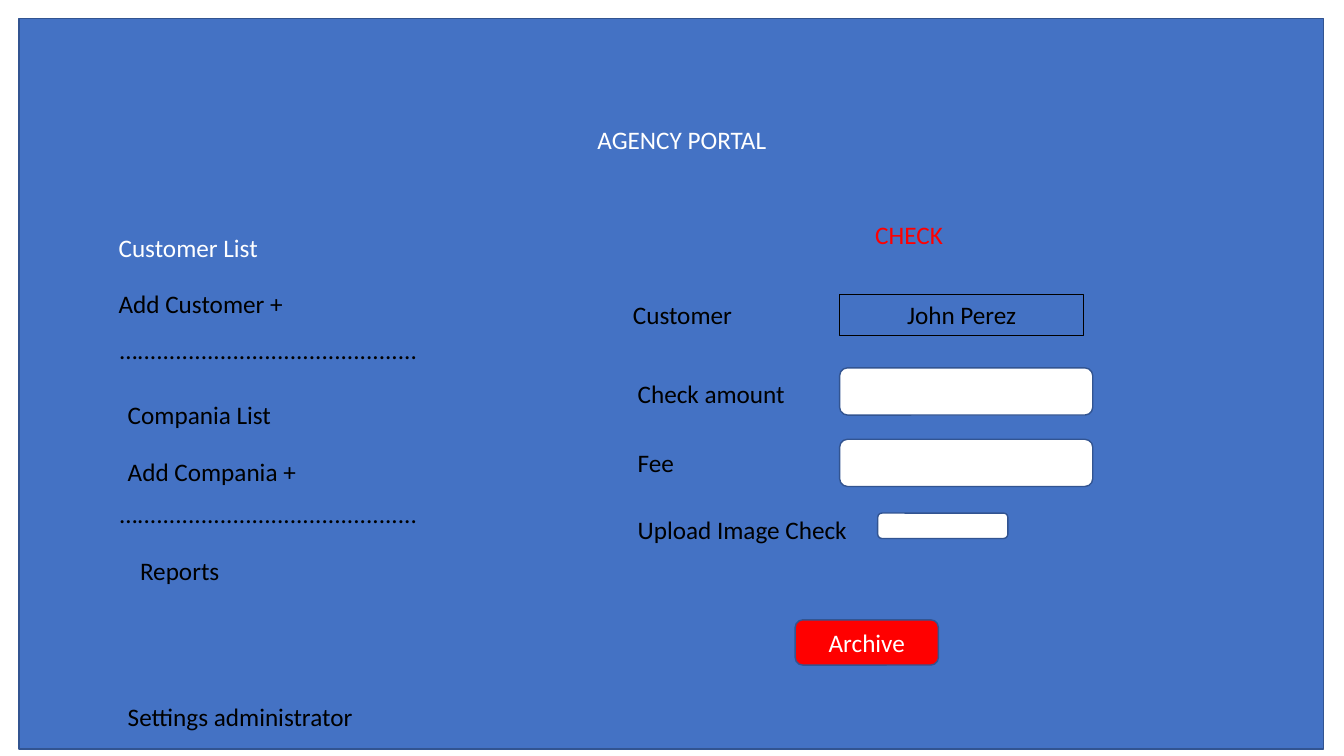
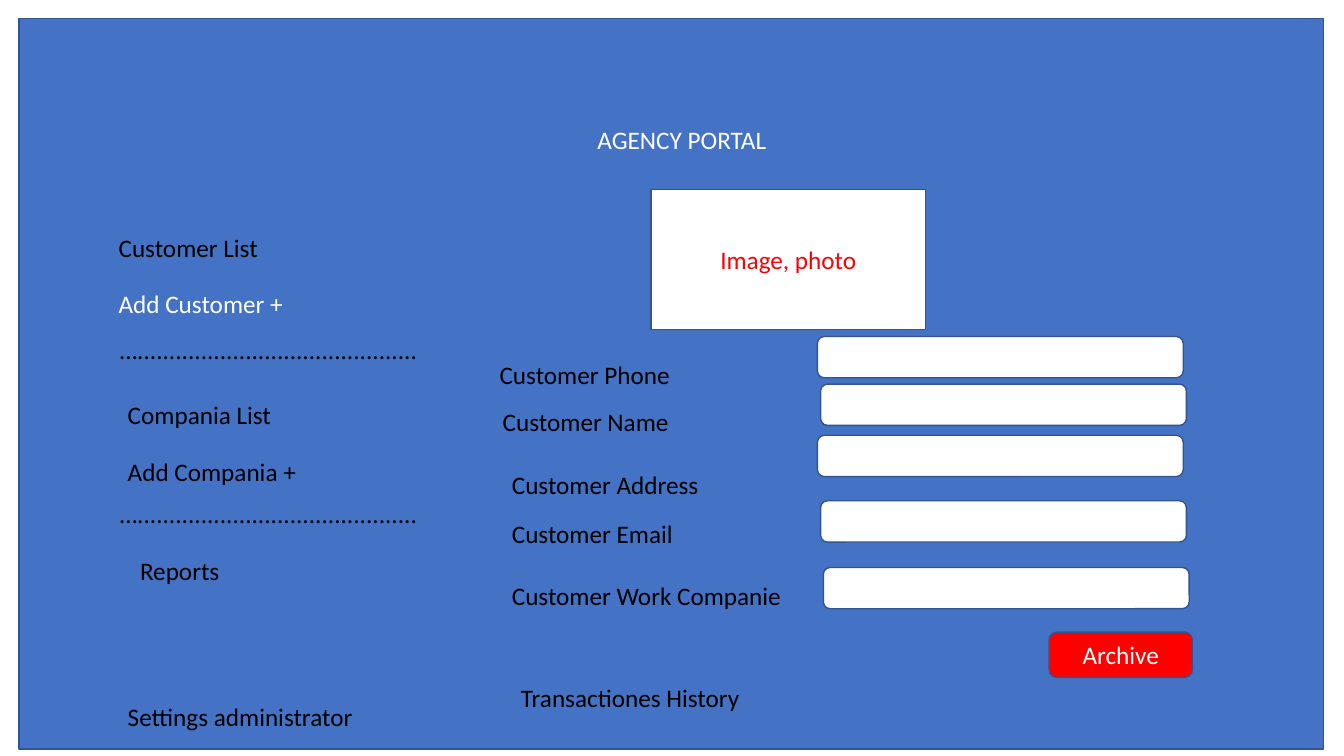
from dataclasses import dataclass
from typing import Optional

import pptx
import pptx.dml.color
import pptx.enum.shapes
import pptx.enum.text
import pptx.presentation
import pptx.slide
import pptx.util

Cm = pptx.util.Cm
RGBColor = pptx.dml.color.RGBColor
Shapes = pptx.enum.shapes.MSO_SHAPE
Align = pptx.enum.text.PP_ALIGN
Anchor = pptx.enum.text.MSO_ANCHOR
AutoSize = pptx.enum.text.MSO_AUTO_SIZE

# Colours
BLUE = RGBColor(0x44, 0x72, 0xC4)
DARK_BLUE = RGBColor(0x32, 0x54, 0x91)
RED = RGBColor(0xFF, 0x00, 0x00)
WHITE = RGBColor(0xFF, 0xFF, 0xFF)
BLACK = RGBColor(0x00, 0x00, 0x00)

# Shared text style and sizes in centimetres
FONT = {"name": "Calibri", "size": pptx.util.Pt(18)}
LABEL_FRAME = {"word_wrap": True, "auto_size": AutoSize.SHAPE_TO_FIT_TEXT}
SHAPE_FRAME = {"word_wrap": True, "vertical_anchor": Anchor.MIDDLE}
LINE_HEIGHT = 1.03
MENU_WIDTH = 7.62
LABEL_WIDTH = 6.15
DIVIDER = "\u2026" + "." * 44


@dataclass(frozen=True)
class Label:
    text: str
    left: float
    top: float
    width: float = LABEL_WIDTH
    color: RGBColor = BLACK
    align: Align = Align.LEFT


@dataclass(frozen=True)
class Box:
    left: float
    top: float
    width: float
    height: float
    text: str = ""
    kind: Shapes = Shapes.ROUNDED_RECTANGLE
    fill: Optional[RGBColor] = WHITE
    line: RGBColor = DARK_BLUE
    line_width: float = 1
    color: RGBColor = BLACK


@dataclass(frozen=True)
class Screen:
    active_item: str
    labels: list[Label]
    boxes: list[Box]


def archive_button(left: float, top: float) -> Box:
    return Box(left, top, 3.61, 1.14, "Archive", fill=RED, color=WHITE)


# Parts on every screen
PANEL = Box(0.48, 0.46, 32.87, 18.42, kind=Shapes.RECTANGLE, fill=BLUE)
TITLE = Label("AGENCY PORTAL", 12.88, 3, 8.61, WHITE, Align.CENTER)
MENU = [
    ("Customer List", 2.74, 5.72),
    ("Add Customer +", 2.74, 7.14),
    ("Compania List", 2.97, 9.93),
    ("Add Compania +", 2.97, 11.38),
    ("Reports", 3.28, 13.87),
    ("Settings administrator", 2.97, 17.55),
]
DIVIDERS = [Label(DIVIDER, 2.77, top, 12.34) for top in (8.31, 12.42)]

# Check form
CHECK_SCREEN = Screen(
    "Customer List",
    [
        Label("CHECK", 19.1, 5.41, MENU_WIDTH, RED, Align.CENTER),
        Label("Customer", 15.7, 7.42),
        Label("Check amount", 15.82, 9.42),
        Label("Fee", 15.82, 11.15),
        Label("Upload Image Check", 15.82, 12.83),
    ],
    [
        Box(21.16, 7.42, LABEL_WIDTH, LINE_HEIGHT, "John Perez",
            Shapes.RECTANGLE, None, BLACK, 0.75),
        *(Box(21.16, top, 6.38, 1.19) for top in (9.27, 11.07)),
        Box(22.12, 12.93, 3.28, 0.64),
        archive_button(20.04, 15.62),
    ],
)

# New customer form
CUSTOMER_SCREEN = Screen(
    "Add Customer +",
    [
        Label("Customer Phone", 12.34, 8.92),
        Label("Customer Name", 12.42, 10.11),
        Label("Customer Address", 12.65, 11.71),
        Label("Customer Email", 12.65, 12.93),
        Label("Customer Work Companie", 12.65, 14.5, 7.65),
        Label("Transactiones History", 12.88, 17.07, MENU_WIDTH),
    ],
    [
        Box(16.41, 4.78, 6.91, 3.53, "Image, photo", Shapes.RECTANGLE, color=RED),
        *(Box(left, top, 9.22, 1.04) for left, top in (
            (20.6, 8.48), (20.68, 9.68), (20.6, 10.97), (20.68, 12.62), (20.75, 14.3))),
        archive_button(26.44, 15.93),
    ],
)


def set_attributes(target: object, values: dict) -> None:
    for name, value in values.items():
        setattr(target, name, value)


def write_text(shape: object, text: str, color: RGBColor, align: Align, frame: dict) -> None:
    set_attributes(shape.text_frame, frame)
    paragraph = shape.text_frame.paragraphs[0]
    paragraph.alignment = align
    run = paragraph.add_run()
    run.text = text
    set_attributes(run.font, FONT)
    run.font.color.rgb = color


def draw_label(slide: pptx.slide.Slide, label: Label) -> None:
    shape = slide.shapes.add_textbox(
        Cm(label.left), Cm(label.top), Cm(label.width), Cm(LINE_HEIGHT))
    write_text(shape, label.text, label.color, label.align, LABEL_FRAME)


def draw_box(slide: pptx.slide.Slide, box: Box) -> None:
    shape = slide.shapes.add_shape(
        box.kind, Cm(box.left), Cm(box.top), Cm(box.width), Cm(box.height))
    shape.shadow.inherit = False
    if box.fill is None:
        shape.fill.background()
    else:
        shape.fill.solid()
        shape.fill.fore_color.rgb = box.fill
    shape.line.color.rgb = box.line
    shape.line.width = pptx.util.Pt(box.line_width)
    if box.text:
        write_text(shape, box.text, box.color, Align.CENTER, SHAPE_FRAME)


def draw_screen(presentation: pptx.presentation.Presentation, screen: Screen) -> None:
    slide = presentation.slides.add_slide(presentation.slide_layouts[6])
    menu = [
        Label(text, left, top, MENU_WIDTH, WHITE if text == screen.active_item else BLACK)
        for text, left, top in MENU
    ]
    for box in [PANEL, *screen.boxes]:
        draw_box(slide, box)
    for label in [TITLE, *menu, *DIVIDERS, *screen.labels]:
        draw_label(slide, label)


def main() -> None:
    presentation = pptx.Presentation()
    set_attributes(presentation, {"slide_width": Cm(33.87), "slide_height": Cm(19.05)})
    for screen in (CHECK_SCREEN, CUSTOMER_SCREEN):
        draw_screen(presentation, screen)
    presentation.save("out.pptx")


main()
